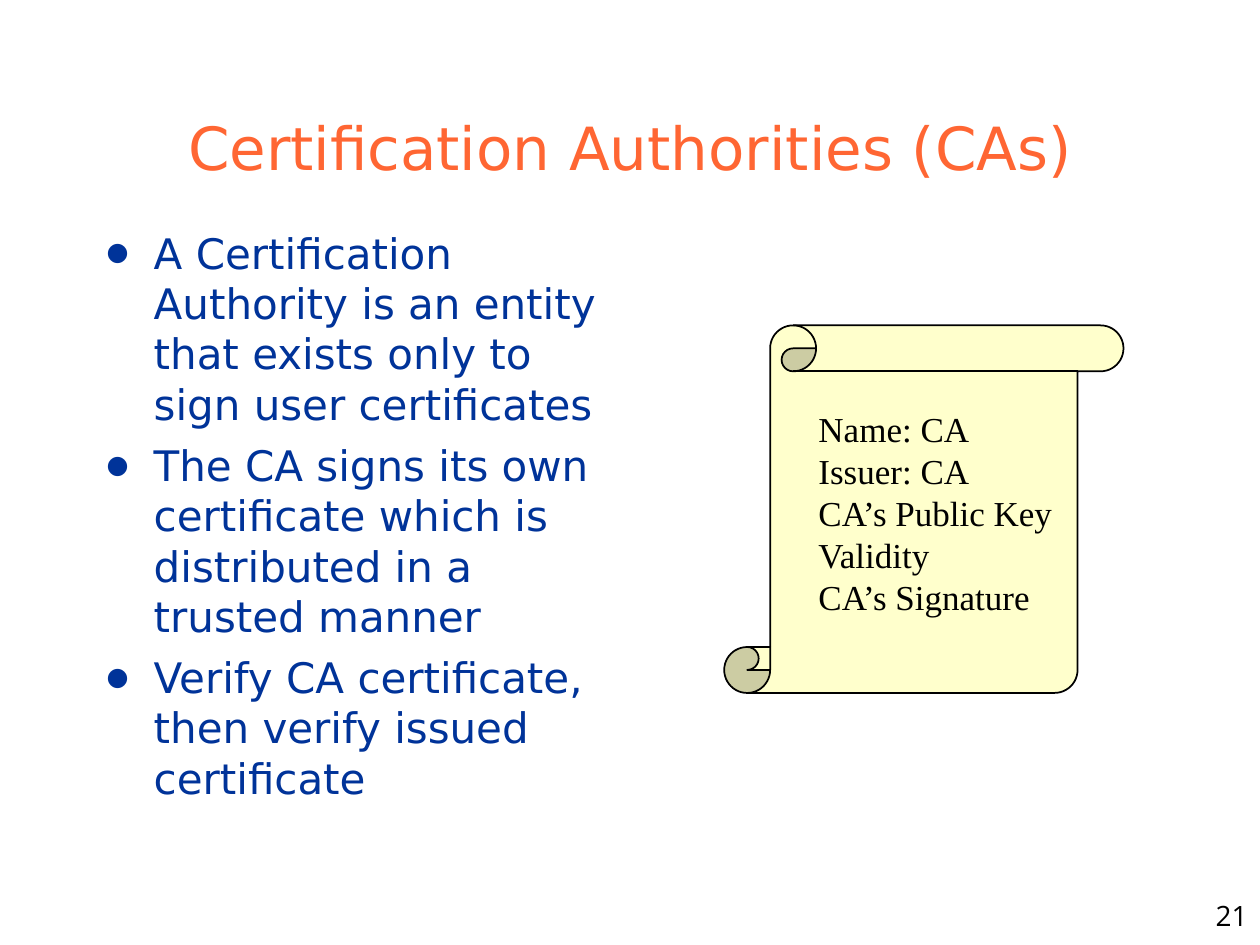
from dataclasses import dataclass

from lxml import etree
from pptx import Presentation
from pptx.dml import color
from pptx.enum import shapes, text
from pptx.oxml import ns
from pptx.util import Cm, Pt

SANS, SERIF, OPEN = "DejaVu Sans", "Times New Roman", "Open Sans"
LEFT, MID, RIGHT = text.PP_ALIGN.LEFT, text.PP_ALIGN.CENTER, text.PP_ALIGN.RIGHT
TOP, BASE = text.MSO_ANCHOR.TOP, text.MSO_ANCHOR.BOTTOM


@dataclass
class Box:
    left: float
    top: float
    width: float
    height: float

    def cm(self) -> tuple:
        return Cm(self.left), Cm(self.top), Cm(self.width), Cm(self.height)


@dataclass
class Style:
    face: str
    size: int
    ink: str
    align: text.PP_ALIGN = LEFT
    anchor: text.MSO_ANCHOR = TOP
    wrap: bool = True
    bullet: bool = False
    gap: int = 0


def rgb(ink: str) -> color.RGBColor:
    return color.RGBColor.from_string(ink)


def mark(para, ink: str) -> None:
    props = para._p.get_or_add_pPr()
    props.set("marL", str(Cm(0.95)))
    props.set("indent", str(Cm(-0.95)))
    tint = etree.SubElement(props, ns.qn("a:buClr"))
    etree.SubElement(tint, ns.qn("a:srgbClr"), val=ink)
    etree.SubElement(props, ns.qn("a:buSzPct"), val="60000")
    etree.SubElement(props, ns.qn("a:buFont"), typeface=SANS)
    etree.SubElement(props, ns.qn("a:buChar"), char="●")


def write(shape, lines: list[str], style: Style) -> None:
    frame = shape.text_frame
    frame.text = "\n".join(lines)
    frame.word_wrap = style.wrap
    frame.auto_size = text.MSO_AUTO_SIZE.NONE
    frame.vertical_anchor = style.anchor
    frame.margin_left = frame.margin_right = Cm(0.25)
    frame.margin_top = frame.margin_bottom = Cm(0.13)
    for row, para in enumerate(frame.paragraphs):
        para.alignment = style.align
        para.space_before = Pt(style.gap if row else 0)
        if style.bullet:
            mark(para, style.ink)
        for run in para.runs:
            run.font.name = style.face
            run.font.size = Pt(style.size)
            run.font.color.rgb = rgb(style.ink)


def label(slide, box: Box, lines: list[str], style: Style) -> None:
    write(slide.shapes.add_textbox(*box.cm()), lines, style)


def panel(slide, kind: shapes.MSO_SHAPE, box: Box, fill: str, line: str = ""):
    shape = slide.shapes.add_shape(kind, *box.cm())
    shape.shadow.inherit = False
    shape.fill.solid()
    shape.fill.fore_color.rgb = rgb(fill)
    if line:
        shape.line.color.rgb = rgb(line)
        shape.line.width = Pt(1)
    else:
        shape.line.fill.background()
    return shape


def main() -> None:
    deck = Presentation()
    deck.slide_width, deck.slide_height = Cm(25.4), Cm(19.05)
    slide = deck.slides.add_slide(deck.slide_layouts[5])

    title = slide.shapes.title
    title.left, title.top, title.width, title.height = Box(1.9, 1.7, 21.6, 2.11).cm()
    write(title, ["Certification Authorities (CAs)"],
          Style(SANS, 34, "FF6633", MID, BASE))

    label(slide, Box(1.9, 4.45, 10.6, 12.06), [
        "A Certification Authority is an entity that exists only to sign user certificates",
        "The CA signs its own certificate which is distributed in a trusted manner",
        "Verify CA certificate, then verify issued certificate",
    ], Style(SANS, 24, "003399", bullet=True, gap=6))

    scroll = panel(slide, shapes.MSO_SHAPE.VERTICAL_SCROLL,
                   Box(14.6, 6.56, 8.05, 7.41), "FFFFCC", "000000")
    scroll.adjustments[0] = 0.125
    card = panel(slide, shapes.MSO_SHAPE.RECTANGLE,
                 Box(16.25, 8.08, 5.34, 4.5), "FFFFCC")
    write(card, ["Name: CA", "Issuer: CA", "CA’s Public Key", "Validity", "CA’s Signature"],
          Style(SERIF, 20, "000000", wrap=False))

    label(slide, Box(18.2, 17.98, 7.2, 1.07), ["21"], Style(OPEN, 16, "000000", RIGHT))
    deck.save("out.pptx")


if __name__ == "__main__":
    main()
